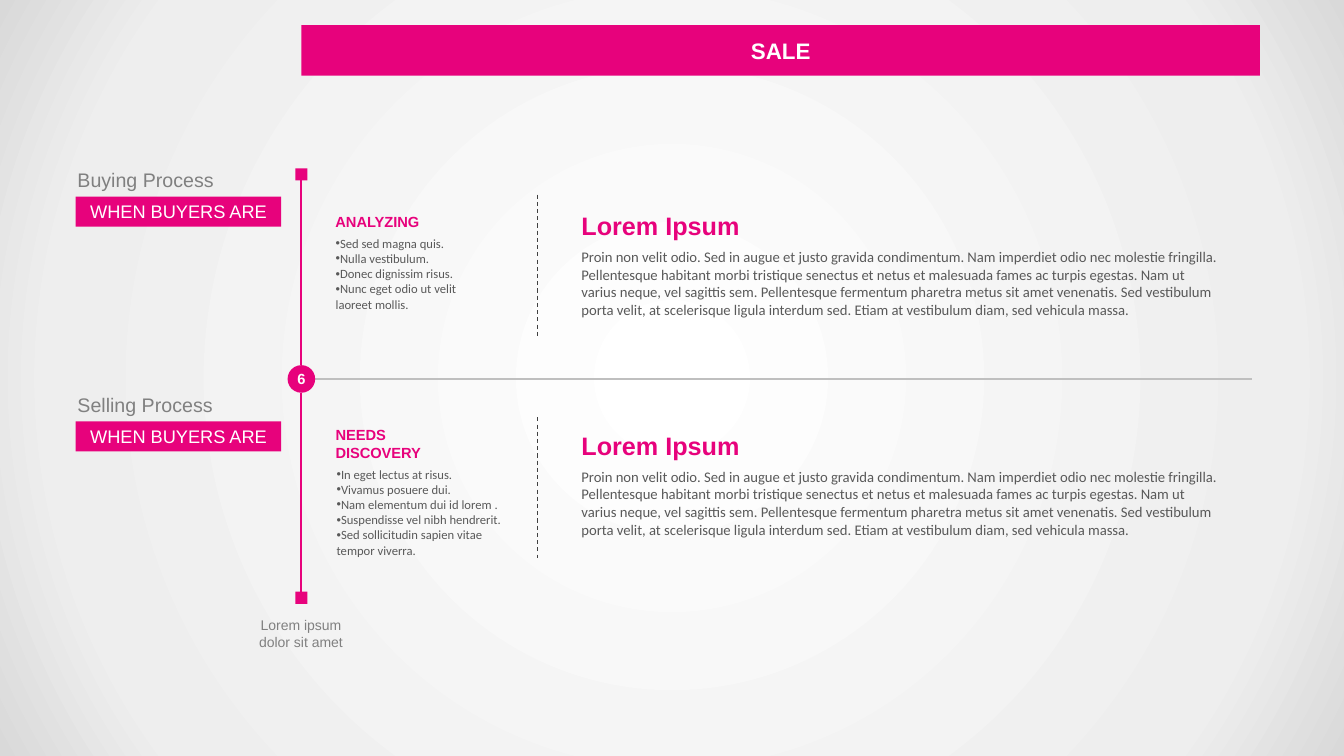
from dataclasses import dataclass

from lxml import etree
from pptx import Presentation
from pptx.dml.color import RGBColor
from pptx.enum.dml import MSO_LINE
from pptx.enum.shapes import MSO_CONNECTOR, MSO_SHAPE
from pptx.enum.text import MSO_ANCHOR, MSO_AUTO_SIZE, PP_ALIGN
from pptx.oxml import parse_xml
from pptx.oxml.ns import nsdecls, qn
from pptx.util import Inches, Pt

LEFT, CENTER = PP_ALIGN.LEFT, PP_ALIGN.CENTER
TOP, MIDDLE = MSO_ANCHOR.TOP, MSO_ANCHOR.MIDDLE
FIXED = MSO_AUTO_SIZE.NONE
RECT, OVAL = MSO_SHAPE.RECTANGLE, MSO_SHAPE.OVAL
STRAIGHT = MSO_CONNECTOR.STRAIGHT
DASH = MSO_LINE.DASH

CELL = 0.1
COLS, ROWS = 133.33, 75
AXIS = 29.9
MID = 37.6
KNOB = 1.2
DISC = 2.74


@dataclass(frozen=True)
class Style:
    size: float
    color: str
    face: str = "Arial"
    bold: bool = False


@dataclass(frozen=True)
class Theme:
    pink: str = "E7027C"
    rule: str = "BFBFBF"
    dash: str = "404040"
    glow: tuple = ((0, "FFFFFF"), (81, "EEEEEE"), (100, "D9D9D9"))
    title: Style = Style(16, "FFFFFF", bold=True)
    label: Style = Style(14, "808080")
    tag: Style = Style(13, "FFFFFF")
    badge: Style = Style(10.5, "FFFFFF", bold=True)
    note: Style = Style(10, "808080")
    head: Style = Style(10.5, "E7027C", bold=True)
    list: Style = Style(9, "595959", "Calibri")
    story: Style = Style(18, "E7027C", bold=True)
    body: Style = Style(10.5, "595959", "Calibri")


@dataclass(frozen=True)
class Box:
    x: float
    y: float
    w: float
    h: float


@dataclass(frozen=True)
class Stage:
    name: str
    label: float
    head: str
    header: Box
    items: tuple
    list: Box
    dash: float
    story: float


THEME = Theme()
BODY = (
    "Proin non velit odio. Sed in augue et justo gravida condimentum. "
    "Nam imperdiet odio nec molestie fringilla. Pellentesque habitant morbi "
    "tristique senectus et netus et malesuada fames ac turpis egestas. "
    "Nam ut varius neque, vel sagittis sem. Pellentesque fermentum pharetra "
    "metus sit amet venenatis. Sed vestibulum porta velit, at scelerisque "
    "ligula interdum sed. Etiam at vestibulum diam, sed vehicula massa."
)
STAGES = (
    Stage("Buying Process", 16.2, "ANALYZING", Box(32.3, 20.6, 14.7, 2.8),
          ("Sed sed magna quis.", "Nulla vestibulum.", "Donec dignissim risus.",
           "Nunc eget odio ut velit laoreet mollis."),
          Box(32.3, 22.9, 14.1, 8.6), 19.3, 20.4),
    Stage("Selling Process", 38.5, "NEEDS\nDISCOVERY", Box(32.3, 41.8, 14.5, 4.5),
          ("In eget lectus at risus.", "Vivamus posuere dui.",
           "Nam elementum dui id lorem .", "Suspendisse vel nibh hendrerit.",
           "Sed sollicitudin sapien vitae tempor viverra."),
          Box(32.4, 45.8, 19.3, 10.1), 41.4, 42.2),
)


def grid(n: float) -> int:
    return Inches(n * CELL)


def place(shape, box: Box) -> None:
    shape.left, shape.top = grid(box.x), grid(box.y)
    shape.width, shape.height = grid(box.w), grid(box.h)


def paint(shape, color: str) -> None:
    shape.fill.solid()
    shape.fill.fore_color.rgb = RGBColor.from_string(color)
    shape.line.fill.background()


def write(shape, text: str, style: Style, align=LEFT, anchor=TOP, dots: bool = False) -> None:
    frame = shape.text_frame
    frame.text = text
    frame.word_wrap = True
    frame.auto_size = FIXED
    frame.vertical_anchor = anchor
    for para in frame.paragraphs:
        if dots:
            props = para._p.get_or_add_pPr()
            props.set("marL", "0")
            props.set("indent", "0")
            etree.SubElement(props, qn("a:buFont")).set("typeface", "Arial")
            etree.SubElement(props, qn("a:buChar")).set("char", "•")
        para.alignment = align
        para.space_before = Pt(0)
        for run in para.runs:
            font = run.font
            font.name, font.size, font.bold = style.face, Pt(style.size), style.bold
            font.color.rgb = RGBColor.from_string(style.color)


def add_text(slide, box: Box, text: str, style: Style, align=LEFT) -> None:
    shape = slide.shapes.add_textbox(0, 0, 0, 0)
    place(shape, box)
    write(shape, text, style, align)


def add_block(slide, kind, box: Box, text: str = "", style: Style = THEME.tag):
    shape = slide.shapes.add_shape(kind, 0, 0, 0, 0)
    place(shape, box)
    shape.shadow.inherit = False
    paint(shape, THEME.pink)
    if text:
        frame = shape.text_frame
        frame.margin_left = frame.margin_right = 0
        frame.margin_top = frame.margin_bottom = 0
        write(shape, text, style, CENTER, MIDDLE)
    return shape


def add_line(slide, x: float, y: float, to_x: float, to_y: float, color: str, width: float):
    line = slide.shapes.add_connector(STRAIGHT, grid(x), grid(y), grid(to_x), grid(to_y))
    line.line.color.rgb = RGBColor.from_string(color)
    line.line.width = Pt(width)
    etree.SubElement(line._element.spPr, qn("a:effectLst"))
    return line


def add_glow(slide) -> None:
    stops = "".join(
        f'<a:gs pos="{pos * 1000}"><a:srgbClr val="{color}"/></a:gs>'
        for pos, color in THEME.glow
    )
    slide.element.cSld.insert(0, parse_xml(
        f'<p:bg {nsdecls("p", "a")}><p:bgPr><a:gradFill rotWithShape="1">'
        f'<a:gsLst>{stops}</a:gsLst><a:path path="circle">'
        '<a:fillToRect l="50000" t="50000" r="50000" b="50000"/></a:path>'
        '</a:gradFill><a:effectLst/></p:bgPr></p:bg>'
    ))


def add_axis(slide) -> None:
    add_line(slide, 30.8, MID, 124.2, MID, THEME.rule, 1.5)
    for top, side, edge in ((16.7, 2, -1), (58.7, 0, 1)):
        knob = add_block(slide, RECT, Box(AXIS - KNOB / 2, top, KNOB, KNOB))
        stem = add_line(slide, AXIS, top, AXIS, MID + edge * DISC / 2, THEME.pink, 1.5)
        stem.begin_connect(knob, side)
    add_block(slide, OVAL, Box(AXIS - DISC / 2, MID - DISC / 2, DISC, DISC), "6", THEME.badge)
    add_text(slide, Box(23.9, 60.7, 11.9, 4.5), "Lorem ipsum dolor sit amet", THEME.note, CENTER)


def add_stage(slide, stage: Stage, holder) -> None:
    add_text(slide, Box(6.7, stage.label, 17.3, 3.4), stage.name, THEME.label)
    add_block(slide, RECT, Box(7.5, stage.label + 3.3, 20.4, 3), "WHEN BUYERS ARE")
    add_text(slide, stage.header, stage.head, THEME.head)
    place(holder, stage.list)
    write(holder, "\n".join(stage.items), THEME.list, dots=True)
    rule = add_line(slide, 53.3, stage.dash, 53.3, stage.dash + 14, THEME.dash, 0.75)
    rule.line.dash_style = DASH
    add_text(slide, Box(56.7, stage.story, 20.6, 4), "Lorem Ipsum", THEME.story)
    add_text(slide, Box(56.7, stage.story + 3.7, 65.3, 8.1), BODY, THEME.body)


def main() -> None:
    deck = Presentation()
    deck.slide_width, deck.slide_height = grid(COLS), grid(ROWS)
    slide = deck.slides.add_slide(deck.slide_layouts[3])
    add_glow(slide)
    title = slide.shapes.title
    place(title, Box(AXIS, 2.5, 95.1, 5))
    paint(title, THEME.pink)
    write(title, "SALE", THEME.title, CENTER, MIDDLE)
    add_axis(slide)
    for slot, stage in enumerate(STAGES, 1):
        add_stage(slide, stage, slide.placeholders[slot])
    deck.save("out.pptx")


if __name__ == "__main__":
    main()
